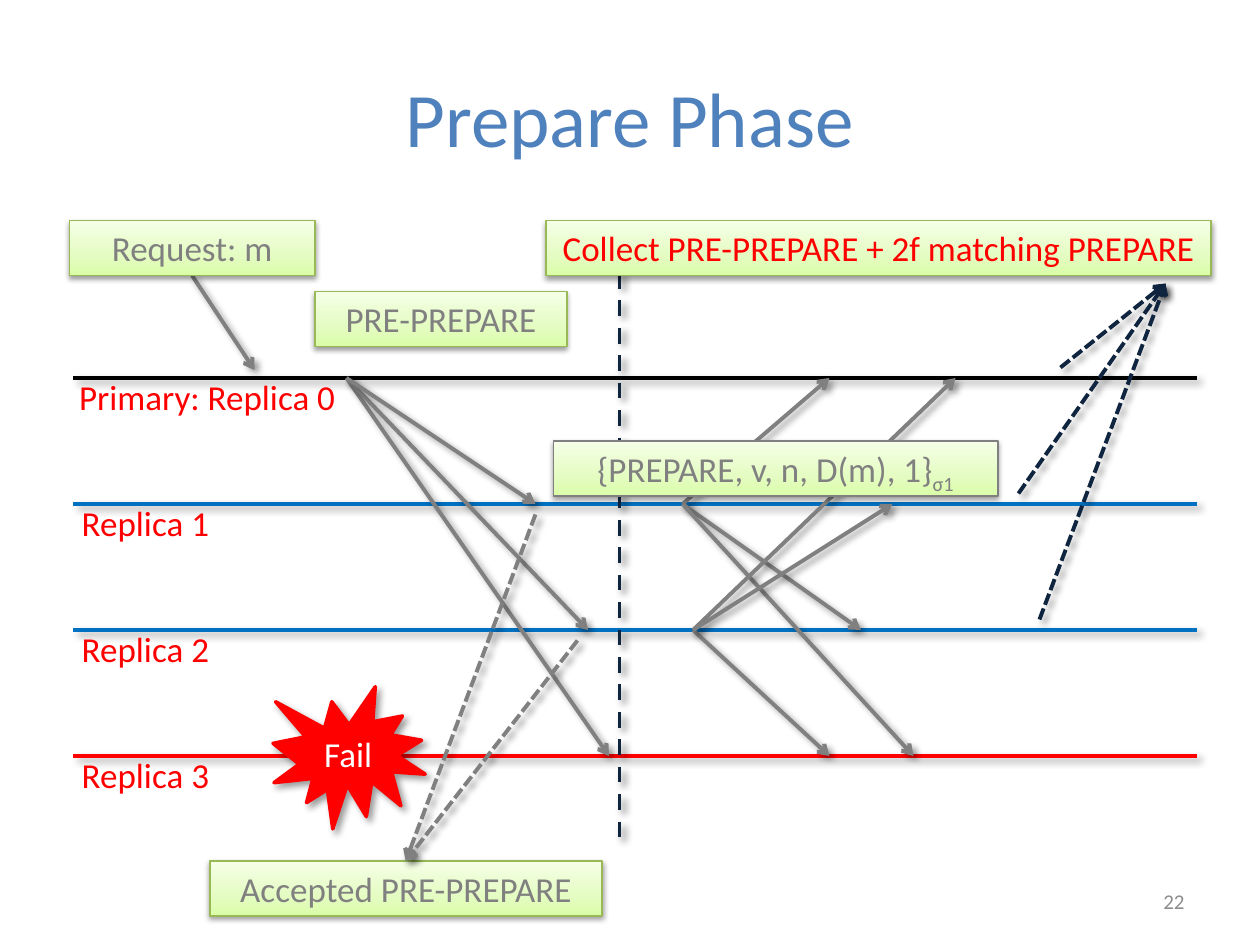
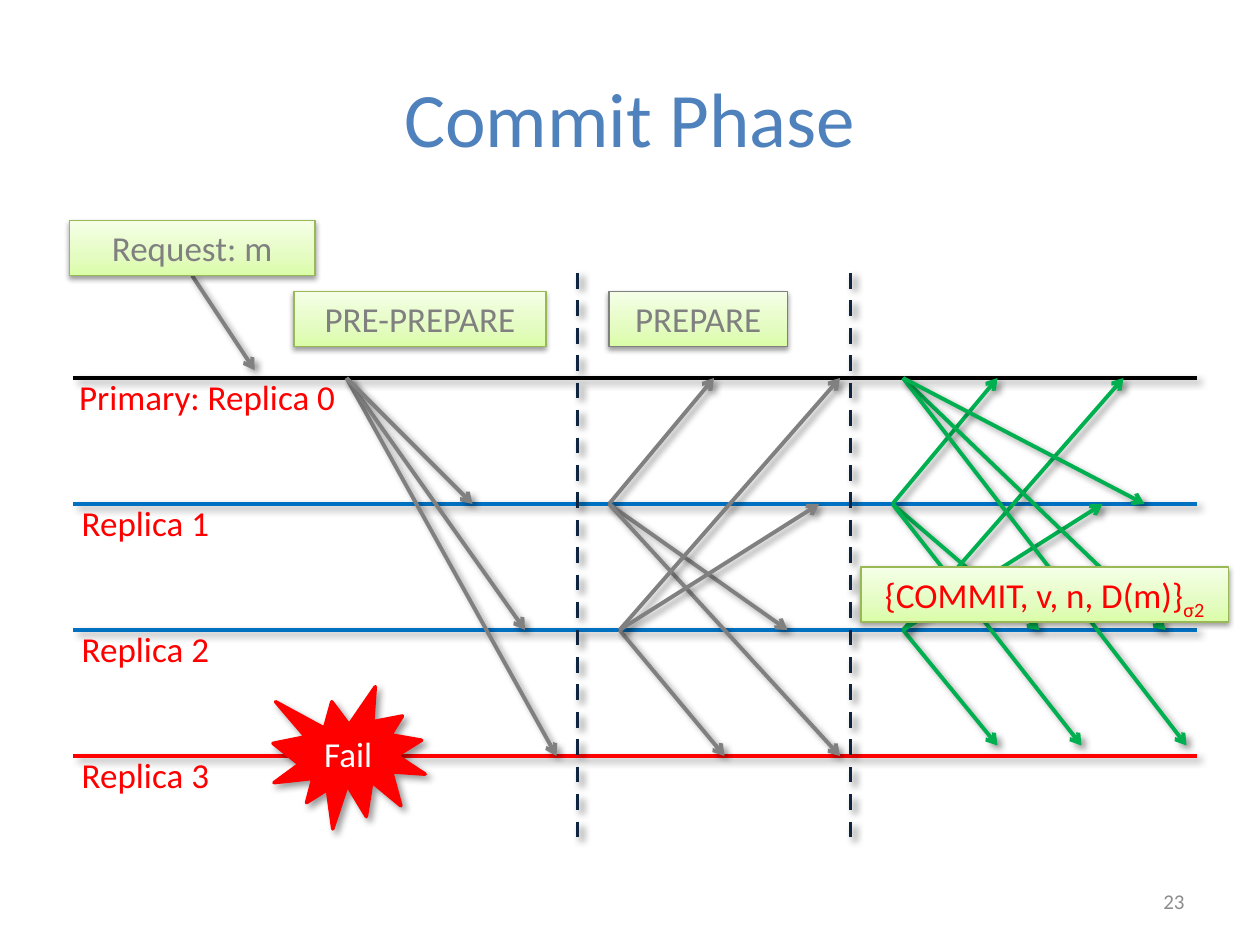
from copy import deepcopy
from dataclasses import dataclass
from typing import NamedTuple

from lxml import etree
from pptx import Presentation
from pptx.dml.color import RGBColor
from pptx.enum.dml import MSO_LINE
from pptx.enum.shapes import MSO_CONNECTOR, MSO_SHAPE
from pptx.enum.text import MSO_ANCHOR, MSO_AUTO_SIZE, PP_ALIGN
from pptx.oxml.ns import qn
from pptx.slide import Slide
from pptx.util import Emu, Inches, Pt

STRAIGHT = MSO_CONNECTOR.STRAIGHT
RECTANGLE, BURST = MSO_SHAPE.RECTANGLE, MSO_SHAPE.EXPLOSION1
DASH, SHORT_DASH = MSO_LINE.DASH, MSO_LINE.SQUARE_DOT
TOP, MIDDLE = MSO_ANCHOR.TOP, MSO_ANCHOR.MIDDLE
LEFT, CENTER, RIGHT = PP_ALIGN.LEFT, PP_ALIGN.CENTER, PP_ALIGN.RIGHT
GROW = MSO_AUTO_SIZE.SHAPE_TO_FIT_TEXT

WIDTH, HEIGHT = Inches(10), Inches(7.5)
COLUMNS, ROWS = 120, 90
FIRST_LANE, LANE_GAP = 36, 12
LANE_START, LANE_END = 7, 114
BOX_HEIGHT = 5.25
TOP_ROW, MESSAGE_ROW = 21, 27.75


class Shadow(NamedTuple):
    alpha: int
    blur: float
    distance: float
    angle: int


@dataclass(frozen=True)
class Theme:
    font: str = "Calibri"
    title_size: int = 44
    body_size: int = 20
    number_size: int = 12
    stroke: float = 2.25
    burst_stroke: float = 2
    border: float = 0.75
    title: str = "4F81BD"
    done: str = "808080"
    active: str = "FF0000"
    commit: str = "00B050"
    navy: str = "0F243E"
    primary: str = "000000"
    backup: str = "0070C0"
    white: str = "FFFFFF"
    number: str = "8C8C8C"
    box_border: str = "98B955"
    box_stops: tuple = ((0, "DAFDA7"), (0.35, "E4FCC2"), (1, "F5FFE7"))
    line_shadow: Shadow = Shadow(40, 4, 3, 45)
    box_shadow: Shadow = Shadow(38, 3.1, 1.6, 90)


T = Theme()


class Area(NamedTuple):
    col: float
    row: float
    cols: float
    rows: float


class Lane(NamedTuple):
    label: str
    color: str
    label_col: float = 6.6
    label_cols: float = 23.4


class Box(NamedTuple):
    text: str
    col: float
    row: float
    cols: float
    color: str = T.done
    subscript: str = ""
    border: str = T.box_border


class Fan(NamedTuple):
    start: tuple[float, float]
    ends: tuple[tuple[float, float], ...]
    color: str = T.done


class Reply(NamedTuple):
    starts: tuple[tuple[float, float], ...]
    end: tuple[float, float]
    color: str


class Phase(NamedTuple):
    title: str
    number: int
    dividers: tuple[int, ...]
    fans: tuple[Fan, ...]
    replies: tuple[Reply, ...]
    boxes: tuple[Box, ...]


LANES = (
    Lane("Primary: Replica 0", T.primary, 6.36, 35.64),
    Lane("Replica 1", T.backup),
    Lane("Replica 2", T.backup),
    Lane("Replica 3", T.active),
)
R0, R1, R2, R3 = (FIRST_LANE + i * LANE_GAP for i in range(len(LANES)))
ABOVE_R3 = R3 - 1
REQUEST = Box("Request: m", 6.6, TOP_ROW, 23.4)
REQUEST_ARROW = Fan((18.3, TOP_ROW + BOX_HEIGHT), ((24.25, 35.25),))

PHASES = (
    Phase(
        "Prepare Phase", 22, (59,),
        (
            Fan((33, R0), ((58, R3), (56, R2), (51, R1))),
            Fan((65, R1), ((79, R0), (82, R2), (87, R3))),
            Fan((66, R2), ((79, R3), (91, R0), (85, R1))),
        ),
        (
            Reply(((51, R1 + 1), (55, R2 + 1)), (38.65, 82), T.done),
            Reply(((101, R0 - 1), (97, R1 - 1), (99, R2 - 1)), (111, 27), T.navy),
        ),
        (
            Box("PRE-PREPARE", 30, MESSAGE_ROW, 24),
            Box("{PREPARE, v, n, D(m), 1}", 52.7, 42, 42.35,
                subscript="σ1", border=T.done),
            Box("Accepted PRE-PREPARE", 20, 82, 37.35),
            Box("Collect PRE-PREPARE + 2f matching PREPARE", 52, TOP_ROW, 63.35,
                T.active),
        ),
    ),
    Phase(
        "Commit Phase", 23, (55, 81),
        (
            Fan((33, R0), ((53, R3), (50, R2), (45, R1))),
            Fan((58, R1), ((68, R0), (75, R2), (80, R3))),
            Fan((59, R2), ((69, R3), (80, R0), (78, R1))),
            Fan((85, R1), ((95, R0), (99, R2), (103, ABOVE_R3)), T.commit),
            Fan((86, R2), ((95, ABOVE_R3), (107, R0), (105, R1)), T.commit),
            Fan((86, R0), ((111, R2), (113, ABOVE_R3), (109, R1)), T.commit),
        ),
        (),
        (
            Box("PRE-PREPARE", 28, MESSAGE_ROW, 24),
            Box("PREPARE", 58, MESSAGE_ROW, 17, border=T.done),
            Box("{COMMIT, v, n, D(m)}", 82, 54, 35, T.active, "σ2"),
        ),
    ),
)


def x(col: float) -> Emu:
    return Emu(round(WIDTH * col / COLUMNS))


def y(row: float) -> Emu:
    return Emu(round(HEIGHT * row / ROWS))


def place(area: Area) -> tuple[Emu, Emu, Emu, Emu]:
    return x(area.col), y(area.row), x(area.cols), y(area.rows)


def rgb(color: str) -> RGBColor:
    return RGBColor.from_string(color)


def add_shadow(sp, shadow: Shadow) -> None:
    spPr = sp._element.spPr
    effects = spPr.find(qn("a:effectLst"))
    if effects is None:
        effects = etree.SubElement(spPr, qn("a:effectLst"))
    outer = etree.SubElement(
        effects, qn("a:outerShdw"), blurRad=str(Pt(shadow.blur)),
        dist=str(Pt(shadow.distance)), dir=str(shadow.angle * 60000),
        rotWithShape="0")
    color = etree.SubElement(outer, qn("a:srgbClr"), val="000000")
    etree.SubElement(color, qn("a:alpha"), val=str(shadow.alpha * 1000))


def write(sp, text: str, color: str, size: int = T.body_size, align=LEFT,
          anchor=TOP, subscript: str = "", grow: bool = False) -> None:
    tf = sp.text_frame
    tf.word_wrap = True
    tf.vertical_anchor = anchor
    if grow:
        tf.auto_size = GROW
    p = tf.paragraphs[0]
    p.text = text
    p.alignment = align
    if subscript:
        r = p.add_run()
        r.text = subscript
        r._r.get_or_add_rPr().set("baseline", "-25000")
    for r in p.runs:
        r.font.name = T.font
        r.font.size = Pt(size)
        r.font.color.rgb = rgb(color)


def add_label(s: Slide, area: Area, text: str, color: str, **style) -> None:
    write(s.shapes.add_textbox(*place(area)), text, color, **style)


def add_line(s: Slide, start: tuple[float, float], end: tuple[float, float],
             color: str, dash=None, arrow: bool = False) -> None:
    sp = s.shapes.add_connector(
        STRAIGHT, x(start[0]), y(start[1]), x(end[0]), y(end[1]))
    sp.line.color.rgb = rgb(color)
    sp.line.width = Pt(T.stroke)
    if dash is not None:
        sp.line.dash_style = dash
    if arrow:
        ln = sp._element.spPr.find(qn("a:ln"))
        etree.SubElement(ln, qn("a:tailEnd"), type="arrow")
    add_shadow(sp, T.line_shadow)


def add_figure(s: Slide, kind, area: Area, border: str, width: float,
               shadow: Shadow):
    sp = s.shapes.add_shape(kind, *place(area))
    sp.line.color.rgb = rgb(border)
    sp.line.width = Pt(width)
    sp.shadow.inherit = False
    add_shadow(sp, shadow)
    return sp


def add_box(s: Slide, box: Box) -> None:
    area = Area(box.col, box.row, box.cols, BOX_HEIGHT)
    sp = add_figure(s, RECTANGLE, area, box.border, T.border, T.box_shadow)
    sp.fill.gradient()
    sp.fill.gradient_angle = 90
    stops = sp._element.spPr.find(f"{qn('a:gradFill')}/{qn('a:gsLst')}")
    stops.append(deepcopy(stops[0]))
    for stop, (position, color) in zip(sp.fill.gradient_stops, T.box_stops):
        stop.position = position
        stop.color.rgb = rgb(color)
    write(sp, box.text, box.color, align=CENTER, subscript=box.subscript, grow=True)


def add_fan(s: Slide, fan: Fan) -> None:
    for end in fan.ends:
        add_line(s, fan.start, end, fan.color, arrow=True)


def add_lanes(s: Slide) -> None:
    for row, lane in zip((R0, R1, R2, R3), LANES):
        add_line(s, (LANE_START, row), (LANE_END, row), lane.color)
        area = Area(lane.label_col, row - 0.8, lane.label_cols, 5.5)
        add_label(s, area, lane.label, T.active, grow=True)


def add_failure(s: Slide) -> None:
    sp = add_figure(s, BURST, Area(26, 65.4, 14.5, 13.55), T.active,
                    T.burst_stroke, T.line_shadow)
    sp.fill.solid()
    sp.fill.fore_color.rgb = rgb(T.active)
    write(sp, "Fail", T.white, align=CENTER, anchor=MIDDLE)


def add_phase(prs, phase: Phase) -> None:
    s = prs.slides.add_slide(prs.slide_layouts[6])
    add_label(s, Area(6, 3.6, 108, 15), phase.title, T.title,
              size=T.title_size, align=CENTER, anchor=MIDDLE)
    add_fan(s, REQUEST_ARROW)
    add_lanes(s)
    add_failure(s)
    for col in phase.dividers:
        add_line(s, (col, 26), (col, 80), T.navy, DASH)
    for fan in phase.fans:
        add_fan(s, fan)
    for box in (REQUEST, *phase.boxes):
        add_box(s, box)
    for reply in phase.replies:
        for start in reply.starts:
            add_line(s, start, reply.end, reply.color, SHORT_DASH, arrow=True)
    add_label(s, Area(86, 83.4, 28, 4.8), str(phase.number), T.number,
              size=T.number_size, align=RIGHT, anchor=MIDDLE)


def main() -> None:
    prs = Presentation()
    prs.slide_width, prs.slide_height = WIDTH, HEIGHT
    for phase in PHASES:
        add_phase(prs, phase)
    prs.save("out.pptx")


if __name__ == "__main__":
    main()
